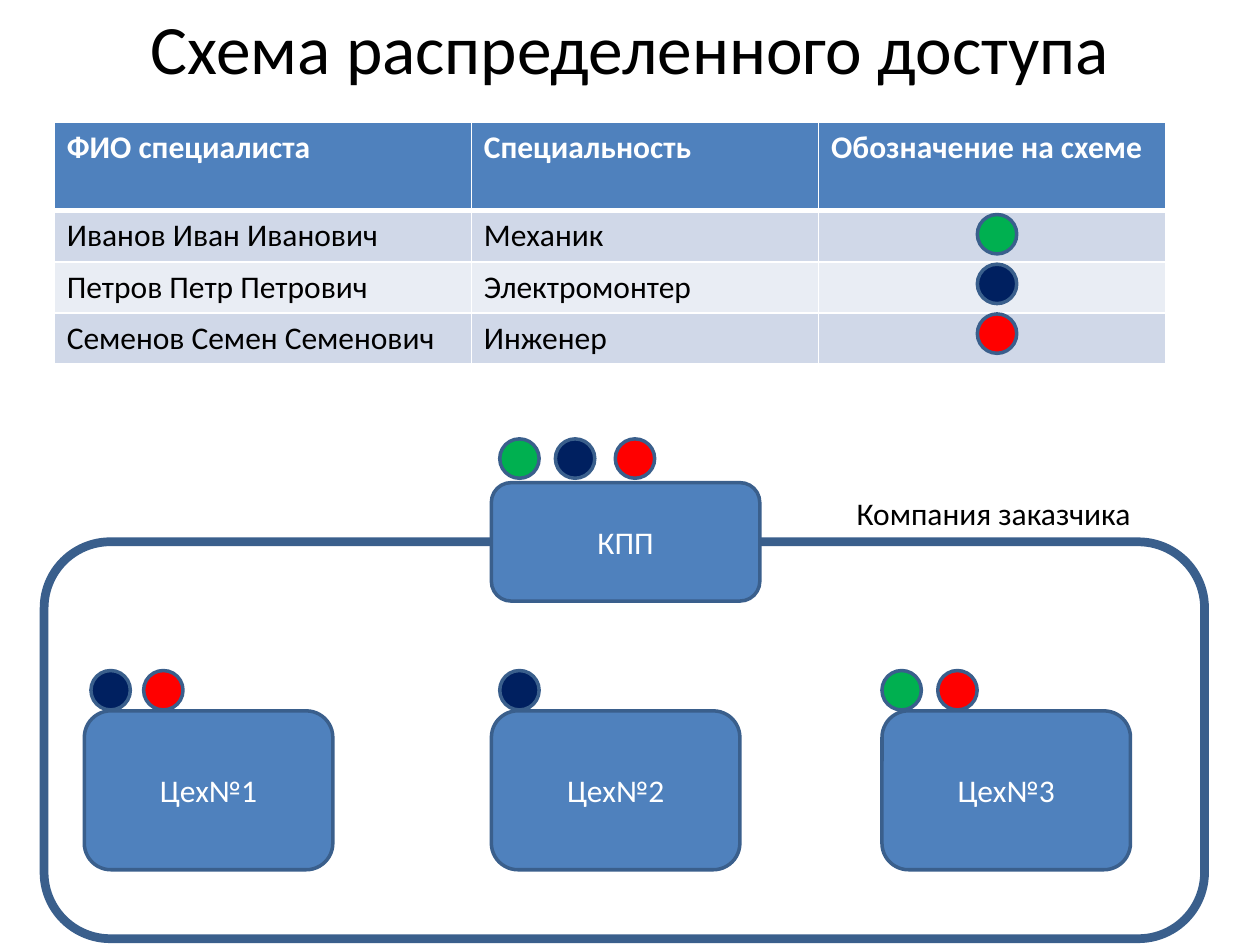
from dataclasses import dataclass

from lxml.etree import SubElement
from pptx import Presentation
from pptx.dml.color import RGBColor
from pptx.enum.shapes import MSO_SHAPE as Preset
from pptx.enum.text import MSO_ANCHOR as Anchor, MSO_AUTO_SIZE as AutoSize, PP_ALIGN as Align
from pptx.oxml.ns import qn
from pptx.util import Pt


@dataclass(frozen=True)
class Theme:
    font: str = "Calibri"
    title_size: float = 39.6
    body_size: float = 18
    black: str = "000000"
    white: str = "FFFFFF"
    block: str = "4F81BD"
    outline: str = "3A5F8C"
    odd_row: str = "D0D8E8"
    even_row: str = "E9EDF4"
    mechanic: str = "00B050"
    electrician: str = "002060"
    engineer: str = "FF0000"


@dataclass(frozen=True)
class Block:
    label: str
    left: float
    top: float
    width: float
    height: float


@dataclass(frozen=True)
class Marker:
    color: str
    left: float
    top: float


THEME = Theme()
MARKER_SIZE = 22.5
WORKSHOPS = [Block(f"Цех№{number}", left, 406.2, 142, 90.8)
             for number, left in enumerate((48.2, 280.8, 504), 1)]
CHECKPOINT = Block("КПП", 280.8, 275.8, 153.4, 67.7)
FRAME = Block("", 25.2, 309.6, 663.1, 226.8)
ROWS = [
    ("ФИО специалиста", "Специальность", "Обозначение на схеме"),
    ("Иванов Иван Иванович", "Механик", ""),
    ("Петров Петр Петрович", "Электромонтер", ""),
    ("Семенов Семен Семенович", "Инженер", ""),
]
COLUMN_WIDTHS = (238.3, 198.5, 198.5)
ROW_HEIGHTS = (50.4, 29.2, 29.2, 29.2)
LEGEND_COLORS = (THEME.mechanic, THEME.electrician, THEME.engineer)
MARKERS = [Marker(color, 558.5, 122.6 + 28.4 * index)
           for index, color in enumerate(LEGEND_COLORS)]
MARKERS += [Marker(color, left, 250.8)
            for color, left in zip(LEGEND_COLORS, (285.6, 317.4, 351.6))]
MARKERS += [Marker(color, left, 383.2) for color, left in (
    (THEME.electrician, 52),
    (THEME.engineer, 82.1),
    (THEME.electrician, 285.6),
    (THEME.mechanic, 504),
    (THEME.engineer, 535.9),
)]


def write_text(frame, text: str, color: str, size: float = THEME.body_size,
               align: Align = Align.LEFT, bold: bool = False) -> None:
    para = frame.paragraphs[0]
    para.text = text
    para.alignment = align
    para.font.name = THEME.font
    para.font.size = Pt(size)
    para.font.bold = bold
    para.font.color.rgb = RGBColor.from_string(color)


def add_outlined(page, preset: Preset, left: float, top: float, width: float,
                 height: float, fill: str | None, line: float = 2):
    shape = page.shapes.add_shape(preset, Pt(left), Pt(top), Pt(width), Pt(height))
    shape.shadow.inherit = False
    if fill:
        shape.fill.solid()
        shape.fill.fore_color.rgb = RGBColor.from_string(fill)
    else:
        shape.fill.background()
    shape.line.color.rgb = RGBColor.from_string(THEME.outline)
    shape.line.width = Pt(line)
    return shape


def add_block(page, block: Block) -> None:
    shape = add_outlined(page, Preset.ROUNDED_RECTANGLE, block.left, block.top,
                         block.width, block.height, THEME.block)
    shape.text_frame.vertical_anchor = Anchor.MIDDLE
    write_text(shape.text_frame, block.label, THEME.white, align=Align.CENTER)


def add_marker(page, marker: Marker) -> None:
    add_outlined(page, Preset.OVAL, marker.left, marker.top,
                 MARKER_SIZE, MARKER_SIZE, marker.color)


def set_borders(cell, bottom: float, top: float) -> None:
    properties = cell._tc.get_or_add_tcPr()
    for side, width in (("L", 1), ("R", 1), ("T", top), ("B", bottom)):
        line = SubElement(properties, qn(f"a:ln{side}"), w=str(Pt(width)))
        fill = SubElement(line, qn("a:solidFill"))
        SubElement(fill, qn("a:srgbClr"), val=THEME.white)


def add_specialists(page) -> None:
    table = page.shapes.add_table(
        len(ROWS), len(COLUMN_WIDTHS), Pt(31), Pt(70),
        Pt(sum(COLUMN_WIDTHS)), Pt(sum(ROW_HEIGHTS))).table
    for column, width in zip(table.columns, COLUMN_WIDTHS):
        column.width = Pt(width)
    for row_index, (texts, height) in enumerate(zip(ROWS, ROW_HEIGHTS)):
        table.rows[row_index].height = Pt(height)
        header = row_index == 0
        band = THEME.odd_row if row_index % 2 else THEME.even_row
        for column_index, text in enumerate(texts):
            cell = table.cell(row_index, column_index)
            set_borders(cell, 3 if header else 1, 3 if row_index == 1 else 1)
            cell.fill.solid()
            cell.fill.fore_color.rgb = RGBColor.from_string(THEME.block if header else band)
            write_text(cell.text_frame, text, THEME.white if header else THEME.black,
                       bold=header)


def add_title(page) -> None:
    title = page.shapes.title
    title.left, title.top, title.width, title.height = Pt(36), Pt(-2), Pt(648), Pt(57)
    title.text_frame.auto_size = AutoSize.NONE
    title.text_frame.vertical_anchor = Anchor.MIDDLE
    write_text(title.text_frame, "Схема распределенного доступа", THEME.black,
               THEME.title_size, Align.CENTER)


def add_company_label(page) -> None:
    box = page.shapes.add_textbox(Pt(482.4), Pt(278.6), Pt(172.8), Pt(29))
    box.text_frame.word_wrap = False
    box.text_frame.auto_size = AutoSize.SHAPE_TO_FIT_TEXT
    write_text(box.text_frame, "Компания заказчика", THEME.black)


def build() -> None:
    deck = Presentation()
    deck.slide_width, deck.slide_height = Pt(720), Pt(540)
    page = deck.slides.add_slide(deck.slide_layouts.get_by_name("Title Only"))
    add_title(page)
    for workshop in WORKSHOPS:
        add_block(page, workshop)
    add_specialists(page)
    add_outlined(page, Preset.ROUNDED_RECTANGLE, FRAME.left, FRAME.top,
                 FRAME.width, FRAME.height, None, 5)
    add_block(page, CHECKPOINT)
    add_company_label(page)
    for marker in MARKERS:
        add_marker(page, marker)
    deck.save("out.pptx")


build()
